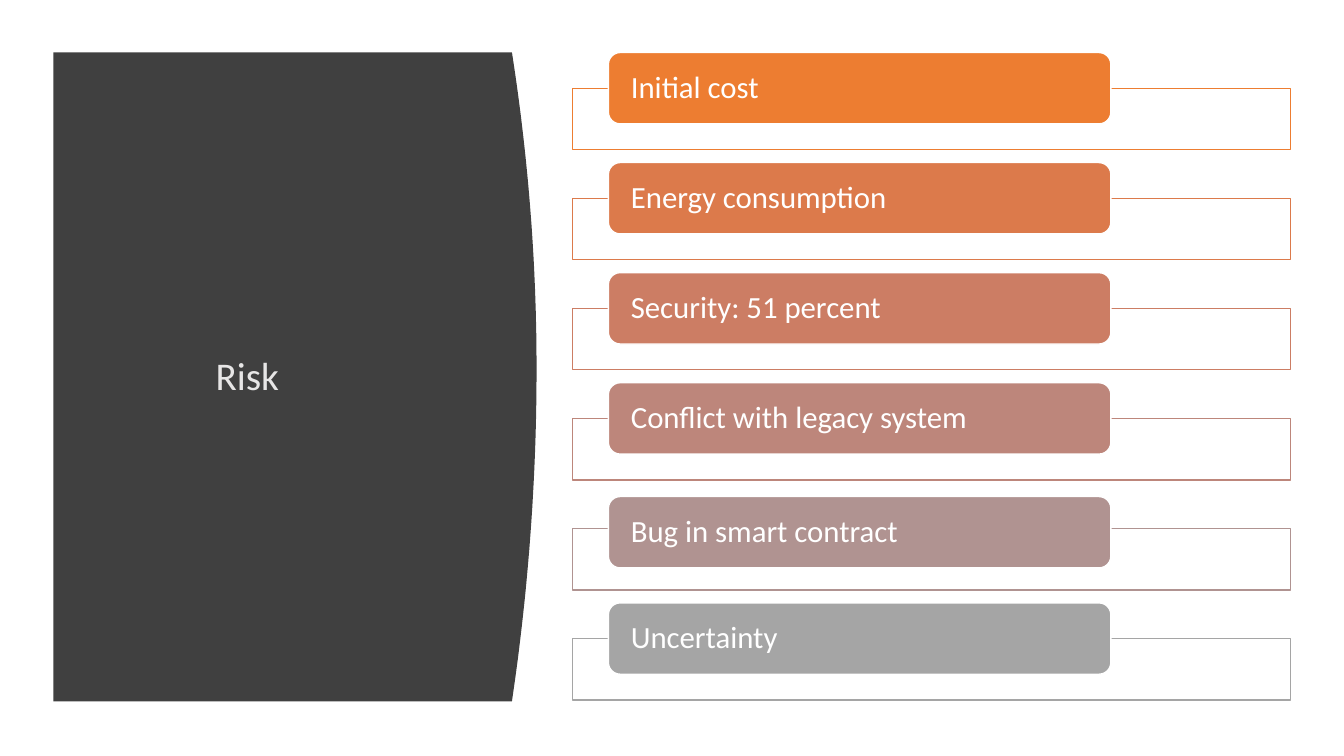
from lxml import etree
from pptx import Presentation
from pptx.dml.color import RGBColor
from pptx.enum import shapes, text
from pptx.oxml.ns import qn
from pptx.util import Pt

WHITE = RGBColor(0xFF, 0xFF, 0xFF)
CHARCOAL = RGBColor(0x40, 0x40, 0x40)
LIGHT_GREY = RGBColor(0xE7, 0xE6, 0xE6)
ORANGE = RGBColor(0xED, 0x7D, 0x31)
COPPER = RGBColor(0xDC, 0x7A, 0x4B)
CORAL = RGBColor(0xCC, 0x7D, 0x64)
ROSE = RGBColor(0xBD, 0x86, 0x7B)
MAUVE = RGBColor(0xB0, 0x93, 0x91)
GREY = RGBColor(0xA5, 0xA5, 0xA5)

# Label, colour and rise of the pill above its frame
RISKS = [
    ("Initial cost", ORANGE, 25.5),
    ("Energy consumption", COPPER, 25.5),
    ("Security: 51 percent", CORAL, 25.5),
    ("Conflict with legacy system", ROSE, 25.5),
    ("Bug in smart contract", MAUVE, 22.8),
    ("Uncertainty", GREY, 25.5),
]


def write_text(shape, wording, *, size, color, wrap=True, margins=None,
               anchor=text.MSO_ANCHOR.TOP, line_spacing=None):
    frame = shape.text_frame
    frame.word_wrap = wrap
    frame.vertical_anchor = anchor
    if margins is not None:
        side, end = margins
        frame.margin_left = frame.margin_right = Pt(side)
        frame.margin_top = frame.margin_bottom = Pt(end)
    paragraph = frame.paragraphs[0]
    paragraph.alignment = text.PP_ALIGN.LEFT
    paragraph.line_spacing = line_spacing
    run = paragraph.add_run()
    run.text = wording
    run.font.name = "Calibri"
    run.font.size = Pt(size)
    run.font.color.rgb = color


def paint(shape, fill, line=None):
    shape.shadow.inherit = False
    shape.fill.solid()
    shape.fill.fore_color.rgb = fill
    if line is None:
        shape.line.fill.background()
    else:
        shape.line.color.rgb = line
        shape.line.width = Pt(1)


def add_box(slide, preset, left, top, width, height, fill, line):
    shape = slide.shapes.add_shape(preset, Pt(left), Pt(top), Pt(width), Pt(height))
    paint(shape, fill, line)
    return shape


def add_title_panel(slide, left, top, width, height):
    # Panel whose right edge bulges as a parabola
    bulge, peak, steps = 17.6, top + height * 0.487, 60
    edge = []
    for step in range(steps + 1):
        y = top + height * step / steps
        reach = peak - top if y < peak else top + height - peak
        edge.append((left + width - bulge * ((y - peak) / reach) ** 2, y))
    builder = slide.shapes.build_freeform(round(left * 100), round(top * 100), scale=Pt(1) / 100)
    outline = edge + [(left, top + height)]
    builder.add_line_segments([(round(x * 100), round(y * 100)) for x, y in outline], close=True)
    paint(builder.convert_to_shape(), CHARCOAL)

    # Title
    title = slide.shapes.add_textbox(Pt(left + 108.7), Pt(top + 210.3), Pt(60.5), Pt(41))
    write_text(title, "Risk", size=28, color=LIGHT_GREY, wrap=False)
    title.text_frame.auto_size = text.MSO_AUTO_SIZE.SHAPE_TO_FIT_TEXT


def add_risk_list(slide, left, top, width, height):
    frame_height, pill_height = 43.9, 51
    first = top + 25.5
    pitch = (top + height - frame_height - first) / (len(RISKS) - 1)
    for index, (label, color, rise) in enumerate(RISKS):
        frame_top = first + index * pitch
        # Outlined frame
        frame = add_box(slide, shapes.MSO_SHAPE.RECTANGLE, left, frame_top,
                        width, frame_height, WHITE, color)
        fill_color = frame.fill._xPr.find(qn("a:solidFill"))[0]
        etree.SubElement(fill_color, qn("a:alpha")).set("val", "90000")
        # Pill with the label
        pill = add_box(slide, shapes.MSO_SHAPE.ROUNDED_RECTANGLE, left + width * 0.05,
                       frame_top - rise, width * 0.7, pill_height, color, WHITE)
        write_text(pill, label, size=22, color=WHITE, margins=(13.6, 0),
                   anchor=text.MSO_ANCHOR.MIDDLE, line_spacing=0.9)


def main():
    presentation = Presentation()
    presentation.slide_width = Pt(960)
    presentation.slide_height = Pt(540)
    slide = presentation.slides.add_slide(presentation.slide_layouts[6])
    add_title_panel(slide, 38.2, 37.4, 345.1, 463.7)
    add_risk_list(slide, 408.9, 37.5, 512.8, 462.5)
    presentation.save("out.pptx")


if __name__ == "__main__":
    main()
